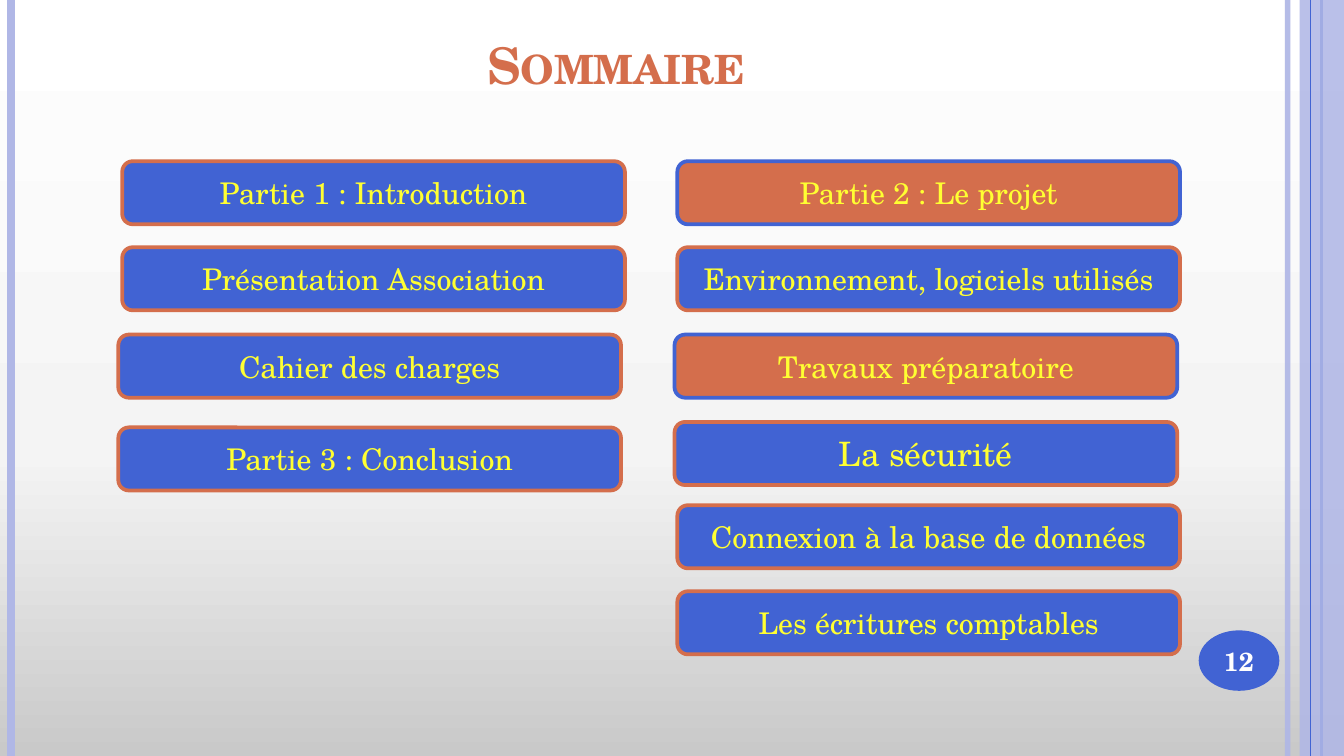
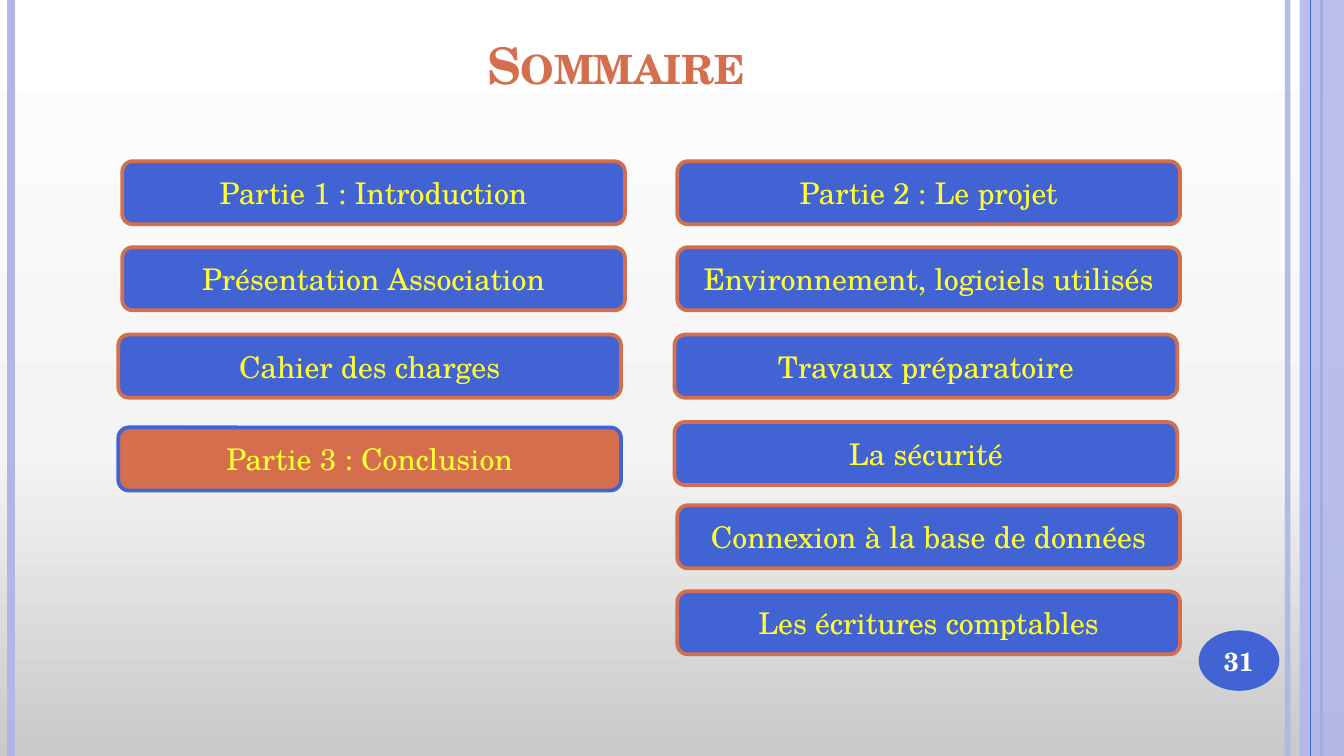
from copy import deepcopy

from lxml.etree import SubElement
from pptx import Presentation
from pptx.dml.color import RGBColor
from pptx.enum.shapes import MSO_CONNECTOR, MSO_SHAPE
from pptx.enum.text import MSO_ANCHOR, PP_ALIGN
from pptx.oxml.ns import qn
from pptx.util import Pt

BLUE = RGBColor(0x41, 0x63, 0xD3)
ORANGE = RGBColor(0xD4, 0x6E, 0x4C)
LAVENDER = RGBColor(0xB0, 0xB7, 0xE6)
YELLOW = RGBColor(0xFF, 0xFF, 0x32)
WHITE = RGBColor(0xFF, 0xFF, 0xFF)
BACKGROUND = [
    (0, RGBColor(0xC9, 0xC9, 0xC9)),
    (0.4, RGBColor(0xF4, 0xF4, 0xF4)),
    (1, WHITE),
]
FONT = "TeX Gyre Schola"
WIDTH, HEIGHT = 720, 405
BUTTON_W, BUTTON_H = 269.3, 33.8

TOPICS = [
    (65.5, 86.4, "Partie 1 : Introduction"),
    (65.5, 132.5, "Présentation Association"),
    (63.4, 179.3, "Cahier des charges"),
    (63.4, 229, "Partie 3 : Conclusion"),
    (362.9, 86.4, "Partie 2 : Le projet"),
    (362.9, 132.5, "Environnement, logiciels utilisés"),
    (361.4, 179.3, "Travaux préparatoire"),
    (361.4, 226.1, "La sécurité"),
    (362.9, 270.7, "Connexion à la base de données"),
    (362.9, 316.8, "Les écritures comptables"),
]
AGENDAS = [
    (12, {"Partie 2 : Le projet", "Travaux préparatoire"}, {"La sécurité": 18}),
    (31, {"Partie 3 : Conclusion"}, {}),
]


class Deck:
    """Holds the shared style and the slide being drawn."""

    def __init__(self):
        self.prs = Presentation()
        self.prs.slide_width, self.prs.slide_height = Pt(WIDTH), Pt(HEIGHT)
        self.s = None

    def add_slide(self, number):
        self.s = self.prs.slides.add_slide(self.prs.slide_layouts[6])
        self.background()
        self.rule(689.8, LAVENDER, 3, 93)
        self.rule(5.8, LAVENDER, 4.5)
        self.rule(707.8, BLUE, 1.5)
        band = self.shape(MSO_SHAPE.RECTANGLE, 696.2, 0, 23.8, HEIGHT, LAVENDER)
        self.opacity(band, 87)
        self.rule(702, BLUE, 0.75)
        badge = self.shape(MSO_SHAPE.OVAL, 642.2, 337.7, 43.2, 32.4, BLUE)
        self.text(badge, str(number), 14, WHITE, bold=True)

    def background(self):
        fill = self.s.background.fill
        fill.gradient()
        fill.gradient_angle = 90
        stops = self.s.element.find(".//" + qn("a:gsLst"))
        stops.append(deepcopy(stops[-1]))
        for stop, (position, color) in zip(fill.gradient_stops, BACKGROUND):
            stop.position = position
            stop.color.rgb = color

    def opacity(self, sp, percent):
        color = sp.element.spPr.find(".//" + qn("a:srgbClr"))
        SubElement(color, qn("a:alpha"), val=str(percent * 1000))

    def rule(self, x, color, width, percent=100):
        line = self.s.shapes.add_connector(
            MSO_CONNECTOR.STRAIGHT, Pt(x), Pt(0), Pt(x), Pt(HEIGHT))
        line.line.color.rgb = color
        line.line.width = Pt(width)
        SubElement(line.element.spPr, qn("a:effectLst"))
        if percent < 100:
            self.opacity(line, percent)

    def shape(self, kind, x, y, w, h, fill, border=None):
        sp = self.s.shapes.add_shape(kind, Pt(x), Pt(y), Pt(w), Pt(h))
        sp.shadow.inherit = False
        sp.fill.solid()
        sp.fill.fore_color.rgb = fill
        if border is None:
            sp.line.fill.background()
        else:
            sp.line.color.rgb = border
            sp.line.width = Pt(2)
        return sp

    def text(self, sp, text, size, color, bold=False, anchor=MSO_ANCHOR.MIDDLE):
        tf = sp.text_frame
        tf.text = text
        tf.word_wrap = True
        tf.vertical_anchor = anchor
        tf.margin_left = tf.margin_right = Pt(0)
        p = tf.paragraphs[0]
        p.alignment = PP_ALIGN.CENTER
        r = p.runs[0]
        r.font.name = FONT
        r.font.size = Pt(size)
        r.font.bold = bold
        r.font.color.rgb = color
        return r

    def title(self, text):
        sp = self.s.shapes.add_textbox(Pt(36), Pt(16.6), Pt(588.2), Pt(37.4))
        r = self.text(sp, text, 27, ORANGE, bold=True, anchor=MSO_ANCHOR.BOTTOM)
        r.font.element.set("cap", "small") if hasattr(r.font, "element") else \
            r._r.get_or_add_rPr().set("cap", "small")

    def button(self, x, y, text, size, active):
        fill, border = (ORANGE, BLUE) if active else (BLUE, ORANGE)
        sp = self.shape(MSO_SHAPE.ROUNDED_RECTANGLE, x, y, BUTTON_W, BUTTON_H,
                        fill, border)
        self.text(sp, text, size, YELLOW)


def main():
    deck = Deck()
    for number, active, sizes in AGENDAS:
        deck.add_slide(number)
        deck.title("Sommaire")
        for x, y, topic in TOPICS:
            deck.button(x, y, topic, sizes.get(topic, 16), topic in active)
    deck.prs.save("out.pptx")


if __name__ == "__main__":
    main()
